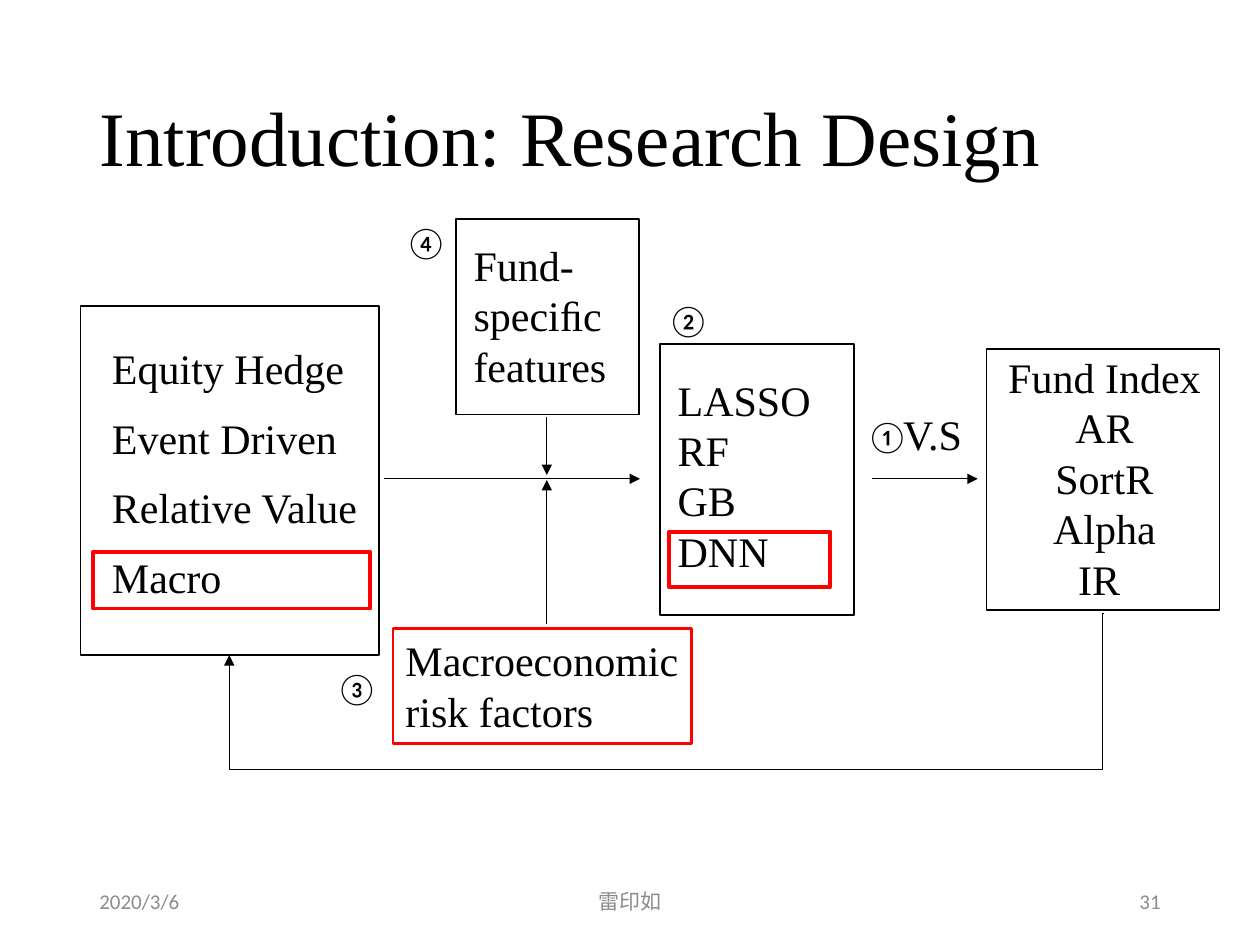
from typing import NamedTuple

from lxml.etree import SubElement
from pptx import Presentation
from pptx.dml.color import RGBColor
from pptx.enum.shapes import MSO_CONNECTOR as Link, MSO_SHAPE as Preset
from pptx.enum.text import MSO_ANCHOR as Anchor, MSO_AUTO_SIZE as AutoSize, PP_ALIGN as Align
from pptx.oxml.ns import qn
from pptx.util import Inches, Pt

COLORS = {"ink": "000000", "mark": "FF0000", "footer": "8C8C8C"}
SERIF, SANS = "Times New Roman", "Calibri"


class Frame(NamedTuple):
    left: float
    top: float
    width: float
    height: float
    color: str = "ink"
    weight: float = 1


class Label(NamedTuple):
    left: float
    top: float
    width: float
    height: float
    lines: tuple[str, ...]
    align: Align = Align.LEFT
    gap: float = 0
    font: str = SERIF
    size: float = 24
    color: str = "ink"
    anchor: Anchor = Anchor.TOP
    wrap: bool = True


class Arrow(NamedTuple):
    start: tuple[float, float]
    end: tuple[float, float]


def marker(left: float, top: float, width: float, sign: str) -> Label:
    return Label(left, top, width, 0.4, (sign,), font=SANS, size=18)


def footer(left: float, width: float, text: str, align: Align) -> Label:
    return Label(left, 6.95, width, 0.4, (text,), align, font=SANS, size=12,
                 color="footer", anchor=Anchor.MIDDLE)


FRAMES = [
    Frame(7.83, 2.77, 1.85, 2.07),
    Frame(5.24, 2.73, 1.54, 2.15),
    Frame(3.62, 1.74, 1.45, 1.55),
    Frame(0.64, 2.43, 2.37, 2.77),
    Frame(0.74, 4.38, 2.2, 0.45, "mark", 2.25),
    Frame(3.12, 4.99, 2.37, 0.91, "mark", 1.5),
    Frame(5.31, 4.22, 1.28, 0.44, "mark", 2.25),
]

LABELS = [
    Label(7.84, 2.74, 1.85, 2.12, ("Fund Index", "AR", "SortR", "Alpha", "IR "), Align.CENTER),
    Label(5.28, 2.92, 1.54, 1.72, ("LASSO", "RF", "GB", "DNN")),
    Label(3.66, 1.85, 1.65, 1.44, ("Fund-speciﬁc features",)),
    Label(0.79, 2.67, 2.21, 2.15,
          ("Equity Hedge", "Event Driven", "Relative Value", "Macro"), gap=11),
    Label(7.07, 3.19, 0.73, 0.5, ("V.S",)),
    Label(3.12, 4.99, 2.37, 0.91, ("Macroeconomic", "risk factors"), wrap=False),
    marker(6.78, 3.26, 0.53, "①"),
    marker(5.2, 2.34, 0.39, "②"),
    marker(2.57, 5.26, 0.52, "③"),
    marker(3.12, 1.72, 0.56, "④"),
    footer(0.69, 2.25, "2020/3/6", Align.LEFT),
    footer(3.31, 3.38, "雷印如", Align.CENTER),
    footer(7.06, 2.25, "31", Align.RIGHT),
]

ARROWS = [
    Arrow((3.05, 3.8), (5.08, 3.8)),
    Arrow((4.34, 3.31), (4.34, 3.77)),
    Arrow((6.92, 3.8), (7.76, 3.8)),
    Arrow((4.34, 4.95), (4.34, 3.81)),
]
FEEDBACK = Arrow((8.76, 4.87), (1.82, 5.2))
FEEDBACK_BENDS = {"adj1": 200, "adj2": 376000}


def rgb(name: str) -> RGBColor:
    return RGBColor.from_string(COLORS[name])


def write(text_frame, lines, *, font, size, color, align=Align.LEFT, gap=0) -> None:
    for index, line in enumerate(lines):
        para = text_frame.add_paragraph() if index else text_frame.paragraphs[0]
        para.alignment = align
        if index and gap:
            para.space_before = Pt(gap)
        span = para.add_run()
        span.text = line
        span.font.name = font
        span.font.size = Pt(size)
        span.font.color.rgb = rgb(color)


def draw_frame(page, frame: Frame) -> None:
    box = page.shapes.add_shape(Preset.RECTANGLE, *map(Inches, frame[:4]))
    box.shadow.inherit = False
    box.fill.background()
    box.line.color.rgb = rgb(frame.color)
    box.line.width = Pt(frame.weight)


def draw_label(page, label: Label) -> None:
    box = page.shapes.add_textbox(*map(Inches, label[:4]))
    box.text_frame.word_wrap = label.wrap
    box.text_frame.vertical_anchor = label.anchor
    write(box.text_frame, label.lines, font=label.font, size=label.size,
          color=label.color, align=label.align, gap=label.gap)


def draw_arrow(page, arrow: Arrow, kind: Link = Link.STRAIGHT):
    line = page.shapes.add_connector(kind, *map(Inches, arrow.start + arrow.end))
    line.line.color.rgb = rgb("ink")
    line.line.width = Pt(0.5)
    properties = line._element.spPr
    SubElement(properties.find(qn("a:ln")), qn("a:tailEnd"), type="triangle")
    SubElement(properties, qn("a:effectLst"))
    return line


def draw_feedback(page) -> None:
    """Arrow that leaves downwards, runs left and comes back up."""
    properties = draw_arrow(page, FEEDBACK, Link.ELBOW)._element.spPr
    placement = properties.find(qn("a:xfrm"))
    placement.attrib.pop("flipH", None)
    placement.set("rot", "10800000")
    placement.set("flipV", "1")
    geometry = properties.find(qn("a:prstGeom"))
    geometry.set("prst", "bentConnector4")
    bends = geometry.find(qn("a:avLst"))
    for name, value in FEEDBACK_BENDS.items():
        SubElement(bends, qn("a:gd"), name=name, fmla=f"val {value}")


def add_title(page, text: str) -> None:
    title = page.shapes.title
    title.left, title.top, title.width, title.height = map(Inches, (0.69, 0.4, 8.62, 1.45))
    title.text_frame.auto_size = AutoSize.NONE
    title.text_frame.vertical_anchor = Anchor.MIDDLE
    write(title.text_frame, [text], font=SERIF, size=44, color="ink")
    title.text_frame.paragraphs[0].line_spacing = 0.9


def main() -> None:
    deck = Presentation()
    deck.slide_width, deck.slide_height = Inches(10), Inches(7.5)
    page = deck.slides.add_slide(deck.slide_layouts[5])
    add_title(page, "Introduction: Research Design")
    for frame in FRAMES:
        draw_frame(page, frame)
    for label in LABELS:
        draw_label(page, label)
    for arrow in ARROWS:
        draw_arrow(page, arrow)
    draw_feedback(page)
    deck.save("out.pptx")


if __name__ == "__main__":
    main()
